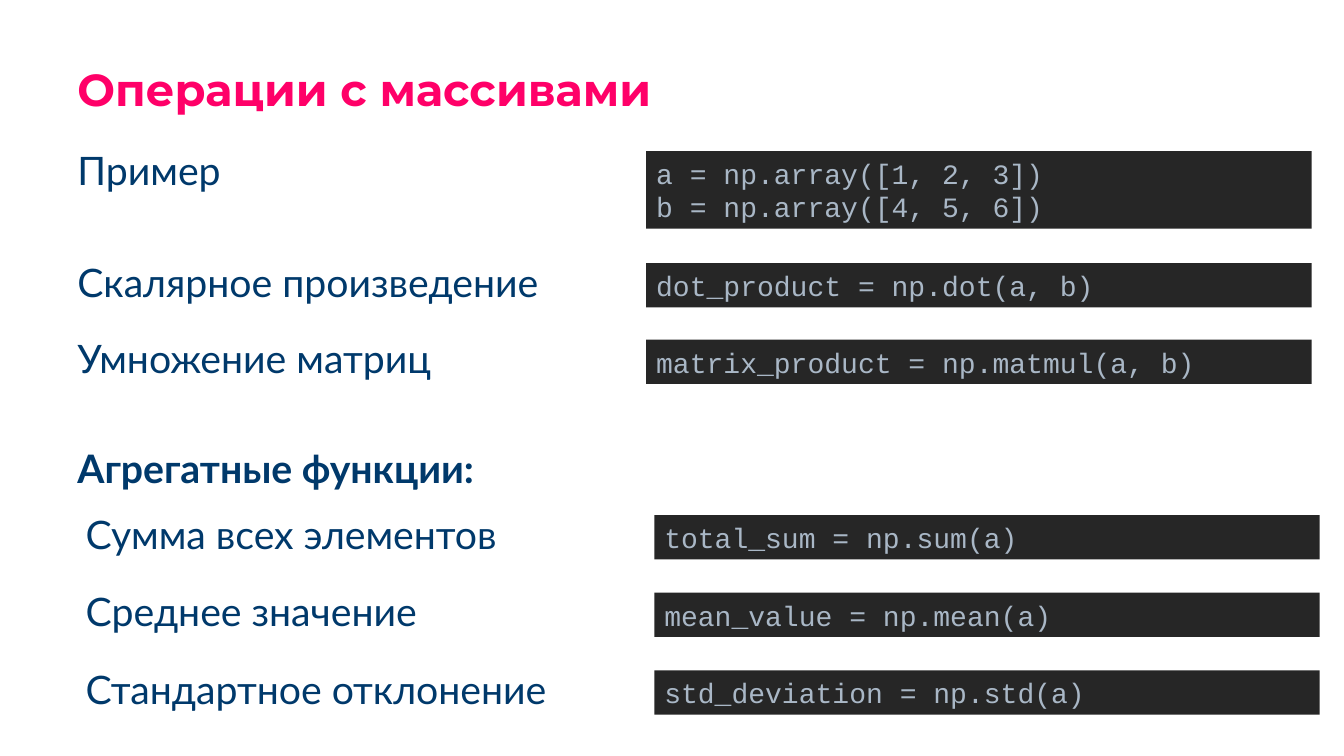
from dataclasses import dataclass

from pptx import Presentation
from pptx import util as u
from pptx.dml import color
from pptx.enum import shapes, text

PINK = "FF0068"
NAVY = "00396B"
CODE_FILL = "262626"
CODE_TEXT = "A9B7C6"

LEFT = 0.67
INDENT = 0.08
LABEL_WIDTH, LABEL_HEIGHT = 5.59, 0.63
CODE_OFFSET_X, CODE_OFFSET_Y = 5.74, 0.1
CODE_WIDTH = 6.6
LINE_HEIGHT, CODE_PADDING = 0.33, 0.11


@dataclass(frozen=True)
class Row:
    top: float
    label: str
    code: tuple[str, ...] = ()
    indent: float = 0
    bold: bool = False


ROWS = [
    Row(1.4, "Пример", ("a = np.array([1, 2, 3])", "b = np.array([4, 5, 6])")),
    Row(2.51, "Скалярное произведение", ("dot_product = np.dot(a, b)",)),
    Row(3.27, "Умножение матриц", ("matrix_product = np.matmul(a, b)",)),
    Row(4.36, "Агрегатные функции:", bold=True),
    Row(5.01, "Сумма всех элементов", ("total_sum = np.sum(a)",), INDENT),
    Row(5.78, "Среднее значение", ("mean_value = np.mean(a)",), INDENT),
    Row(6.55, "Стандартное отклонение", ("std_deviation = np.std(a)",), INDENT),
]


def rgb(value: str) -> color.RGBColor:
    return color.RGBColor.from_string(value)


def style(paragraph, name: str, size: float, hex_color: str, bold: bool = False) -> None:
    paragraph.alignment = text.PP_ALIGN.LEFT
    paragraph.font.name = name
    paragraph.font.size = u.Pt(size)
    paragraph.font.bold = bold
    paragraph.font.color.rgb = rgb(hex_color)


def add_text(slide, left: float, top: float, width: float, height: float, content: str):
    """Add a wrapping text box and return its only paragraph."""
    box = slide.shapes.add_textbox(
        u.Inches(left), u.Inches(top), u.Inches(width), u.Inches(height))
    box.text_frame.word_wrap = True
    paragraph = box.text_frame.paragraphs[0]
    paragraph.text = content
    return paragraph


def add_code(slide, left: float, top: float, lines: tuple[str, ...]) -> None:
    height = len(lines) * LINE_HEIGHT + CODE_PADDING
    block = slide.shapes.add_shape(
        shapes.MSO_SHAPE.RECTANGLE,
        u.Inches(left), u.Inches(top), u.Inches(CODE_WIDTH), u.Inches(height))
    block.shadow.inherit = False
    block.fill.solid()
    block.fill.fore_color.rgb = rgb(CODE_FILL)
    block.line.fill.background()
    frame = block.text_frame
    frame.word_wrap = True
    frame.auto_size = text.MSO_AUTO_SIZE.SHAPE_TO_FIT_TEXT
    frame.vertical_anchor = text.MSO_ANCHOR.MIDDLE
    frame.text = "\n".join(lines)
    for paragraph in frame.paragraphs:
        style(paragraph, "Courier New", 20, CODE_TEXT)


def add_row(slide, row: Row) -> None:
    left = LEFT + row.indent
    label = add_text(slide, left, row.top, LABEL_WIDTH, LABEL_HEIGHT, row.label)
    style(label, "Lato", 28, NAVY, row.bold)
    if row.code:
        add_code(slide, left + CODE_OFFSET_X, row.top + CODE_OFFSET_Y, row.code)


def main() -> None:
    presentation = Presentation()
    presentation.slide_width = u.Inches(13.33)
    presentation.slide_height = u.Inches(7.5)
    slide = presentation.slides.add_slide(presentation.slide_layouts[6])

    title = add_text(slide, LEFT, 0.62, 7.94, 0.41, "Операции с массивами")
    title.line_spacing = 0.9
    style(title, "Montserrat", 32, PINK, bold=True)

    for row in ROWS:
        add_row(slide, row)
    presentation.save("out.pptx")


if __name__ == "__main__":
    main()
